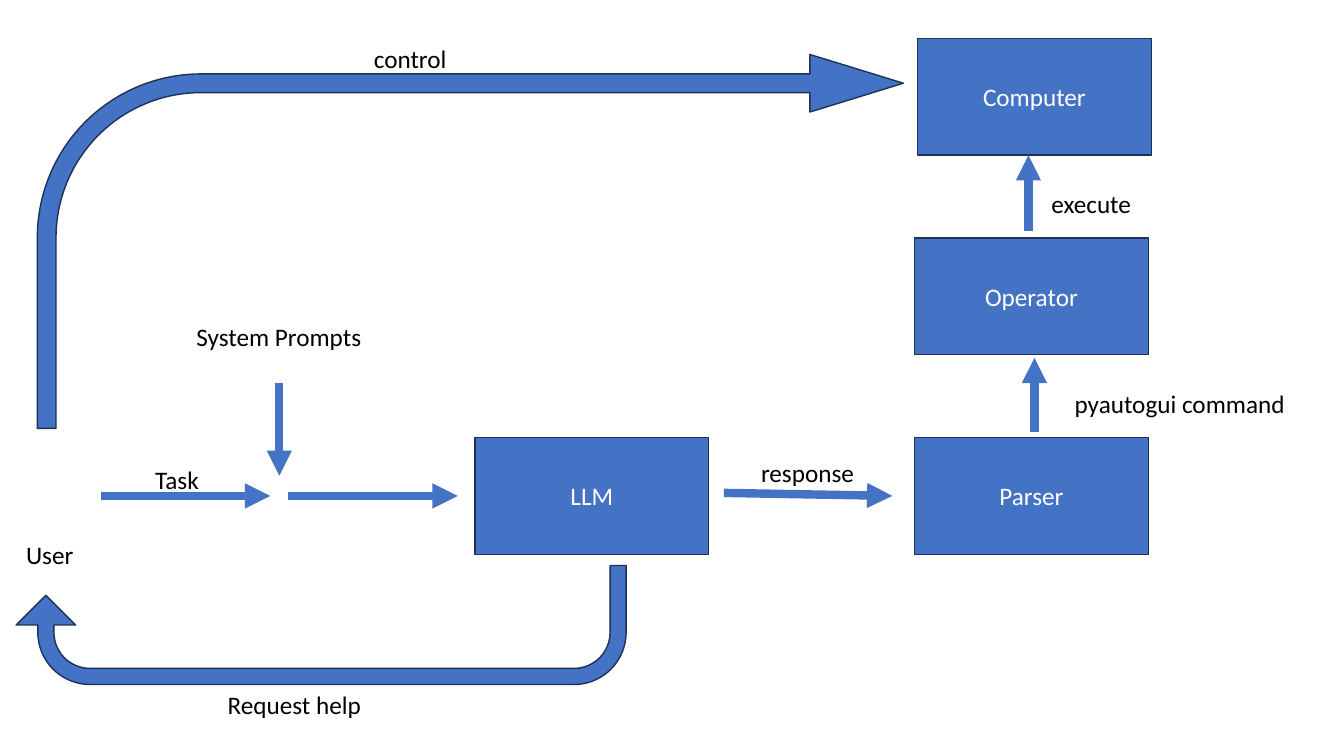
from lxml.etree import SubElement
from pptx import Presentation
from pptx.dml.color import RGBColor
from pptx.enum.shapes import MSO_CONNECTOR, MSO_SHAPE
from pptx.enum.text import MSO_ANCHOR, MSO_AUTO_SIZE, PP_ALIGN
from pptx.oxml.ns import qn
from pptx.util import Inches, Pt

COLOURS = {"fill": "4472C4", "outline": "1E3256", "label": "000000", "box": "FFFFFF"}
FONT = "Calibri"

# Grid in inches: box columns, and equally spaced rows
BOX_WIDTH, BOX_HEIGHT = 2.32, 1.16
MODEL_LEFT, TOOLS_LEFT = 4.71, 9.07
TOP_ROW, ROW_STEP = 0.38, 1.98
ROWS = [TOP_ROW + ROW_STEP * index for index in range(3)]
FLOW_LINE = ROWS[2] + BOX_HEIGHT / 2
LABEL_HEIGHT = 0.4


def colour(name):
    return RGBColor.from_string(COLOURS[name])


def write(frame, words, colour_name, align):
    para = frame.paragraphs[0]
    para.text = words
    para.alignment = align
    para.font.name = FONT
    para.font.size = Pt(18)
    para.font.color.rgb = colour(colour_name)


def add_block(page, kind, left, top, width, height, adjustments=()):
    """Add a filled and outlined preset shape."""
    block = page.shapes.add_shape(
        kind, Inches(left), Inches(top), Inches(width), Inches(height))
    for index, value in enumerate(adjustments):
        block.adjustments[index] = value
    block.shadow.inherit = False
    block.fill.solid()
    block.fill.fore_color.rgb = colour("fill")
    block.line.color.rgb = colour("outline")
    block.line.width = Pt(1)
    return block


def add_box(page, words, left, top):
    box = add_block(page, MSO_SHAPE.RECTANGLE, left, top, BOX_WIDTH, BOX_HEIGHT)
    box.text_frame.vertical_anchor = MSO_ANCHOR.MIDDLE
    write(box.text_frame, words, "box", PP_ALIGN.CENTER)


def add_label(page, words, left, top, width, wrap=False):
    label = page.shapes.add_textbox(
        Inches(left), Inches(top), Inches(width), Inches(LABEL_HEIGHT))
    label.text_frame.word_wrap = wrap
    label.text_frame.auto_size = MSO_AUTO_SIZE.SHAPE_TO_FIT_TEXT
    write(label.text_frame, words, "label", PP_ALIGN.LEFT)


def add_arrow(page, start, end):
    arrow = page.shapes.add_connector(
        MSO_CONNECTOR.STRAIGHT, *(Inches(length) for length in (*start, *end)))
    arrow.line.color.rgb = colour("fill")
    arrow.line.width = Pt(6)
    SubElement(arrow.line._get_or_add_ln(), qn("a:tailEnd"), type="triangle")
    SubElement(arrow._element.spPr, qn("a:effectLst"))


def main():
    deck = Presentation()
    deck.slide_width, deck.slide_height = Inches(13.33), Inches(7.5)
    page = deck.slides.add_slide(deck.slide_layouts[6])

    # Processing boxes
    for words, left, top in (
        ("LLM", MODEL_LEFT, ROWS[2]),
        ("Parser", TOOLS_LEFT, ROWS[2]),
        ("Operator", TOOLS_LEFT, ROWS[1]),
        ("Computer", TOOLS_LEFT + 0.03, ROWS[0]),
    ):
        add_box(page, words, left, top)

    # Straight arrows: task, prompts, model input, response, command, execution
    for start, end in (
        ((1, FLOW_LINE), (2.68, FLOW_LINE)),
        ((2.77, 3.8), (2.77, 4.72)),
        ((2.86, FLOW_LINE), (4.54, FLOW_LINE)),
        ((7.18, 4.89), (8.85, FLOW_LINE)),
        ((10.26, 4.29), (10.26, 3.55)),
        ((10.2, 2.29), (10.2, 1.54)),
    ):
        add_arrow(page, start, end)

    # Curved arrows: user control, and the request back to the user
    add_block(page, MSO_SHAPE.BENT_ARROW, 0.37, 0.54, 8.59, 3.71,
              (0.05, 0.077, 0.25, 0.438))
    help_arrow = add_block(page, MSO_SHAPE.U_TURN_ARROW, 0.16, 5.61, 6.05, 1.18,
                           (0.135, 0.25, 0.25, 0.438, 0.75))
    help_arrow.rotation = 180

    # Labels
    for words, left, top, width in (
        ("System Prompts", 1.85, 3.14, 1.85),
        ("User", 0.16, 5.3, 0.68),
        ("Request help", 2.16, 6.79, 1.54),
        ("response", 7.45, 4.49, 1.13),
        ("pyautogui command", 10.56, 3.8, 2.31),
        ("control", 3.61, 0.38, 0.93),
    ):
        add_label(page, words, left, top, width)
    add_label(page, "Task", 1.44, 4.56, 0.68, wrap=True)
    add_label(page, "execute", 10.33, 1.82, 1.38, wrap=True)

    deck.save("out.pptx")


if __name__ == "__main__":
    main()
